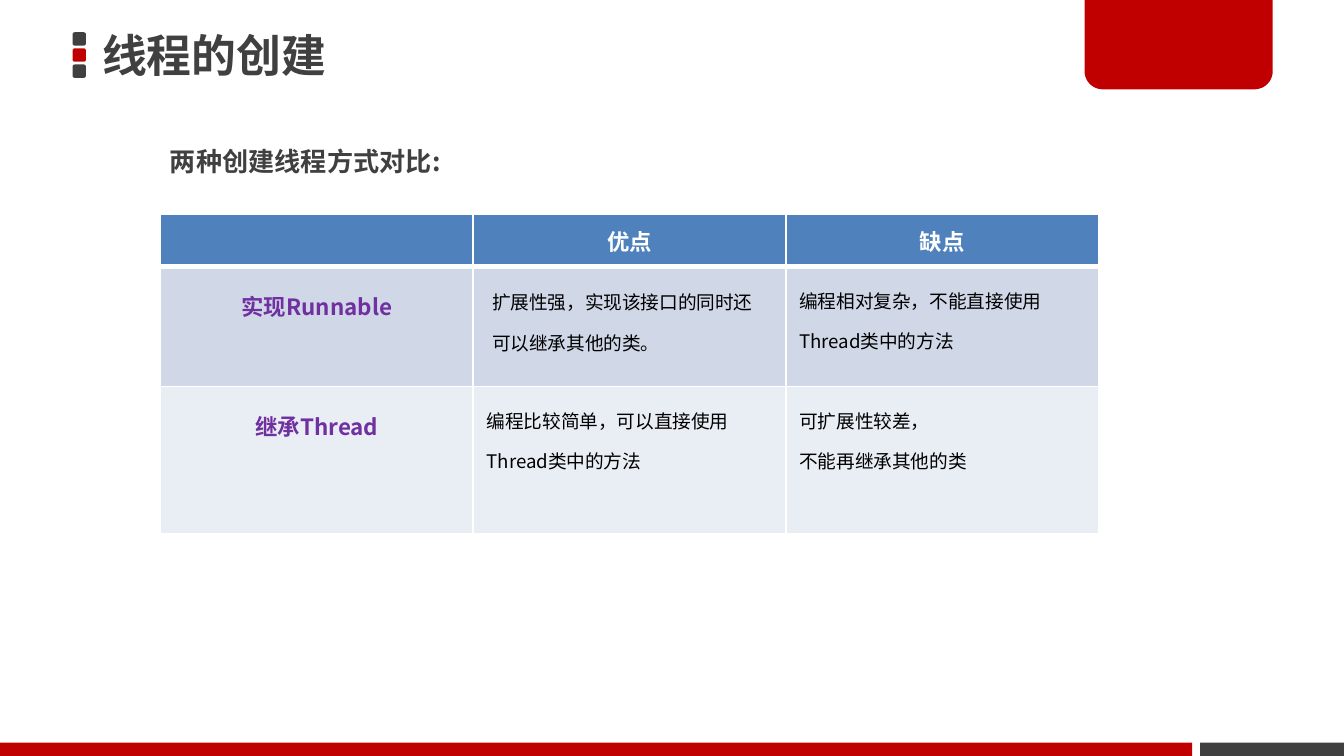
from dataclasses import dataclass
from math import cos, pi, sin

from lxml import etree
from pptx import Presentation
from pptx.dml.color import RGBColor
from pptx.enum.shapes import MSO_SHAPE
from pptx.enum.text import MSO_ANCHOR, MSO_AUTO_SIZE, PP_ALIGN
from pptx.oxml.ns import qn
from pptx.util import Emu, Inches, Pt

RECTANGLE, ROUNDED = MSO_SHAPE.RECTANGLE, MSO_SHAPE.ROUNDED_RECTANGLE
LEFT, CENTER = PP_ALIGN.LEFT, PP_ALIGN.CENTER
TOP, MIDDLE = MSO_ANCHOR.TOP, MSO_ANCHOR.MIDDLE
NO_FIT = MSO_AUTO_SIZE.NONE

RED = RGBColor(0xC0, 0x00, 0x00)
GRAY = RGBColor(0x40, 0x40, 0x40)
WHITE = RGBColor(0xFF, 0xFF, 0xFF)
BLACK = RGBColor(0x00, 0x00, 0x00)
PURPLE = RGBColor(0x70, 0x30, 0xA0)
BLUE = RGBColor(0x4F, 0x81, 0xBD)
BAND_DARK = RGBColor(0xD0, 0xD8, 0xE8)
BAND_LIGHT = RGBColor(0xE9, 0xED, 0xF4)

HEADING_FONT, BODY_FONT = "Noto Sans CJK JP", "Noto Sans CJK SC"

# The slide is a grid of square units, 100 columns by 56.25 rows
COLUMNS, ROWS = 100, 56.25
UNIT = Inches(0.1)


@dataclass(frozen=True)
class Area:
    column: float
    row: float
    columns: float
    rows: float

    def emu(self) -> tuple:
        return tuple(units(n) for n in (self.column, self.row, self.columns, self.rows))


@dataclass(frozen=True)
class Style:
    size: float
    color: RGBColor
    font: str = HEADING_FONT
    bold: bool = True
    align: PP_ALIGN = LEFT
    spacing: float = 1.0


@dataclass(frozen=True)
class TableRow:
    rows: float
    fill: RGBColor
    texts: tuple
    styles: tuple
    anchor: MSO_ANCHOR = TOP
    bottom_line: float = 1


TITLE = Style(24, GRAY)
SUBTITLE = Style(14, GRAY)
HEADER = Style(12, WHITE, align=CENTER)
LABEL = Style(12, PURPLE, BODY_FONT, align=CENTER, spacing=1.5)
DETAIL = Style(10, BLACK, BODY_FONT, bold=False, spacing=1.5)

TABLE_AREA = Area(11.95, 15.9, 69.8, 23.85)
TABLE_ROWS = (
    TableRow(3.95, BLUE, ("", "优点", "缺点"), (HEADER,) * 3, MIDDLE, 3),
    TableRow(8.9, BAND_DARK,
             ("实现Runnable",
              "扩展性强，实现该接口的同时还可以继承其他的类。",
              "编程相对复杂，不能直接使用Thread类中的方法"),
             (LABEL, DETAIL, DETAIL)),
    TableRow(11, BAND_LIGHT,
             ("继承Thread",
              "编程比较简单，可以直接使用Thread类中的方法",
              "可扩展性较差，\n不能再继承其他的类"),
             (LABEL, DETAIL, DETAIL)),
)


def units(count: float) -> Emu:
    return Emu(round(count * UNIT))


def paint(shape, color: RGBColor) -> None:
    shape.shadow.inherit = False
    shape.fill.solid()
    shape.fill.fore_color.rgb = color
    shape.line.fill.background()


def add_block(page, area: Area, color: RGBColor, kind=RECTANGLE) -> None:
    paint(page.shapes.add_shape(kind, *area.emu()), color)


def add_corner_tab(page, area: Area, radius: float, color: RGBColor) -> None:
    """Draw a tab whose two lower corners are rounded."""
    right, bottom = area.column + area.columns, area.row + area.rows
    arcs = ((right - radius, 0), (area.column + radius, pi / 2))
    steps = 12
    points = [(right, area.row)]
    for center, start in arcs:
        for step in range(steps + 1):
            angle = start + step * pi / 2 / steps
            points.append((center + radius * cos(angle),
                           bottom - radius + radius * sin(angle)))
    points.append((area.column, area.row))
    corners = [(units(x), units(y)) for x, y in points]
    builder = page.shapes.build_freeform(*corners[0])
    builder.add_line_segments(corners[1:], close=True)
    paint(builder.convert_to_shape(), color)


def write(frame, text: str, style: Style) -> None:
    for index, line in enumerate(text.split("\n")):
        para = frame.add_paragraph() if index else frame.paragraphs[0]
        para.alignment = style.align
        para.line_spacing = style.spacing
        para.space_before = Pt(0)
        span = para.add_run()
        span.text = line
        span.font.name = style.font
        span.font.size = Pt(style.size)
        span.font.bold = style.bold
        span.font.color.rgb = style.color
        east_asian = etree.SubElement(span.font._element, qn("a:ea"))
        east_asian.set("typeface", style.font)


def fill_text_box(box, area: Area, text: str, style: Style) -> None:
    box.left, box.top, box.width, box.height = area.emu()
    frame = box.text_frame
    frame.word_wrap = True
    frame.auto_size = NO_FIT
    frame.vertical_anchor = MIDDLE
    frame.margin_left = frame.margin_right = units(0.7)
    frame.margin_top = frame.margin_bottom = units(0.4)
    write(frame, text, style)


def set_borders(cell, top: float, bottom: float) -> None:
    properties = cell._tc.get_or_add_tcPr()
    widths = {"a:lnL": 1, "a:lnR": 1, "a:lnT": top, "a:lnB": bottom}
    for position, (tag, width) in enumerate(widths.items()):
        line = etree.Element(qn(tag), w=str(int(Pt(width))))
        solid = etree.SubElement(line, qn("a:solidFill"))
        etree.SubElement(solid, qn("a:srgbClr"), val=str(WHITE))
        properties.insert(position, line)


def add_comparison(page, area: Area, table_rows: tuple) -> None:
    count = len(table_rows[0].texts)
    table = page.shapes.add_table(len(table_rows), count, *area.emu()).table
    for column in table.columns:
        column.width = units(area.columns / count)
    line_above = 1
    for row_index, table_row in enumerate(table_rows):
        table.rows[row_index].height = units(table_row.rows)
        for index, (text, style) in enumerate(zip(table_row.texts, table_row.styles)):
            cell = table.cell(row_index, index)
            cell.fill.solid()
            cell.fill.fore_color.rgb = table_row.fill
            cell.vertical_anchor = table_row.anchor
            if text:
                write(cell.text_frame, text, style)
            else:
                # Keeps the empty cell from stretching its row
                ending = cell.text_frame.paragraphs[0]._p
                etree.SubElement(ending, qn("a:endParaRPr"), sz=str(style.size * 100))
            set_borders(cell, line_above, table_row.bottom_line)
        line_above = table_row.bottom_line
    # The first detail cell has wider margins than the others
    roomy = table.cell(1, 1)
    roomy.margin_left = roomy.margin_right = units(1.4)
    roomy.margin_top = roomy.margin_bottom = units(0.6)


def main() -> None:
    deck = Presentation()
    deck.slide_width, deck.slide_height = units(COLUMNS), units(ROWS)
    page = deck.slides.add_slide(deck.slide_layouts[5])

    # Title marker, corner tab and footer bars
    for index, color in enumerate((GRAY, RED, GRAY)):
        add_block(page, Area(5.4, 2.4 + 1.2 * index, 1, 1), color, ROUNDED)
    add_block(page, Area(89.3, ROWS - 1, 10.7, 1), GRAY)
    add_corner_tab(page, Area(80.7, -0.2, 14, 6.85), 1.35, RED)
    add_block(page, Area(0, ROWS - 1, 88.7, 1), RED)

    # Title, comparison table and its heading
    fill_text_box(page.shapes.title, Area(6.9, 1.95, 71.9, 4.2), "线程的创建", TITLE)
    add_comparison(page, TABLE_AREA, TABLE_ROWS)
    heading_area = Area(TABLE_AREA.column, 9.8, 35, 4.3)
    heading = page.shapes.add_textbox(*heading_area.emu())
    fill_text_box(heading, heading_area, "两种创建线程方式对比:", SUBTITLE)

    deck.save("out.pptx")


if __name__ == "__main__":
    main()
